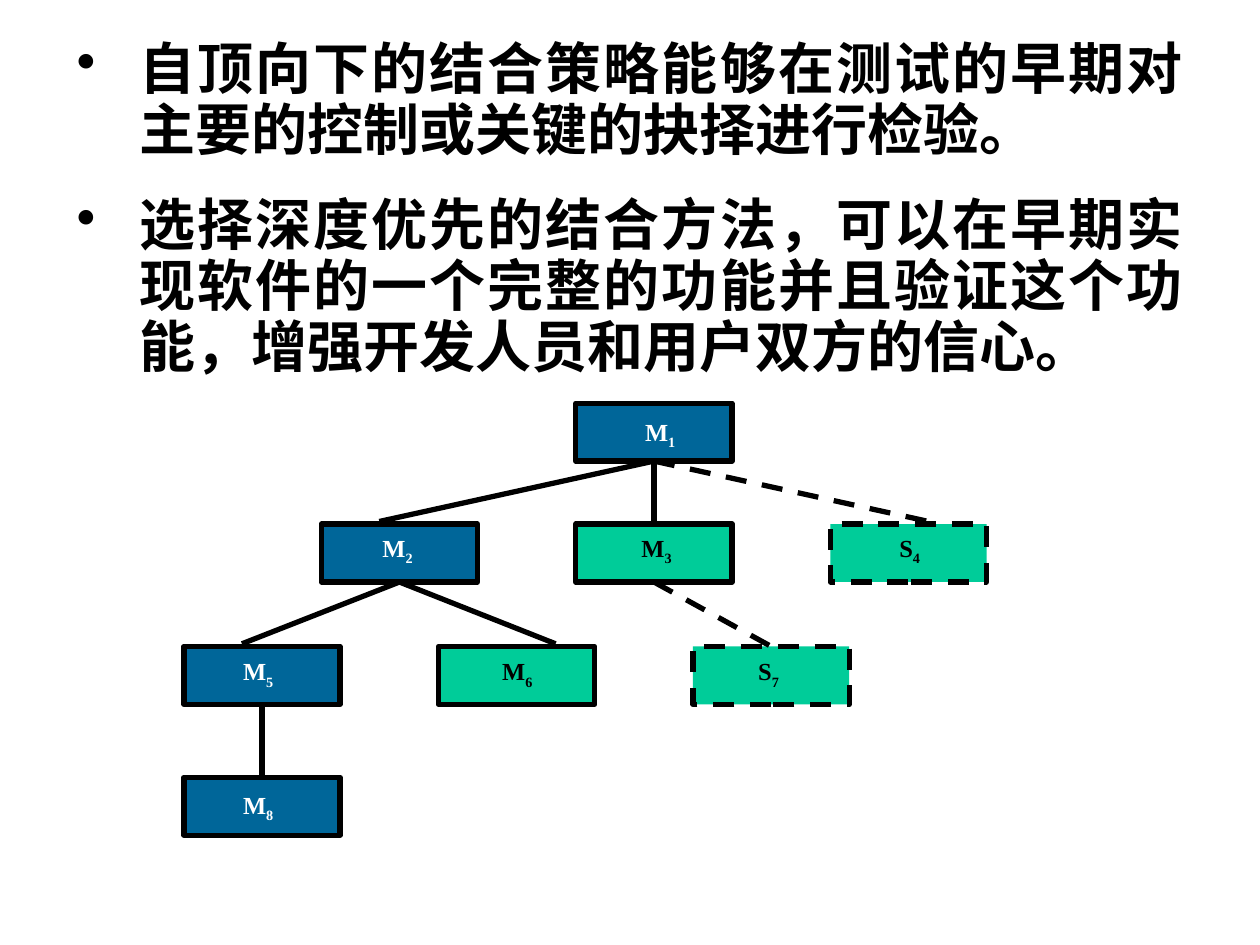
"""Draw a slide on top-down testing with a tree of modules and stubs."""
from dataclasses import dataclass

from lxml import etree
from pptx import Presentation
from pptx import util as u
from pptx.dml.color import RGBColor
from pptx.enum import dml, shapes, text
from pptx.oxml.ns import qn

BLACK = RGBColor(0, 0, 0)
WHITE = RGBColor(255, 255, 255)
BLUE = RGBColor(0, 0x66, 0x99)
GREEN = RGBColor(0, 0xCC, 0x99)
HAN = "Noto Sans CJK SC"
ROMAN = "Times New Roman"

LEFT, STEP, SHIFT = 105.1, 145.45, 78.5
ROWS = (230.4, 299.5, 369.4, 444.2)
WIDE, HIGH, EDGE = 89.3, 33.1, 3
TAG_HIGH = 26.6
BOTTOM, TOP = 2, 0

POINTS = (
    "自顶向下的结合策略能够在测试的早期对主要的控制或关键的抉择进行检验。",
    "选择深度优先的结合方法，可以在早期实现软件的一个完整的功能并且验证这个功能，增强开发人员和用户双方的信心。",
)


@dataclass(frozen=True)
class Node:
    """A box of the tree: its place, and its label's offset and width."""
    name: str
    row: int
    col: int
    fill: RGBColor
    dx: float
    dy: float
    span: float

    @property
    def x(self) -> float:
        return LEFT + self.col * STEP + (SHIFT if self.row < 2 else 0)

    @property
    def y(self) -> float:
        return ROWS[self.row]

    @property
    def stub(self) -> bool:
        return self.name.startswith("S")


@dataclass(frozen=True)
class Link:
    """A line between two boxes, ending dx beside the middle of the lower."""
    start: str
    end: str
    dx: float = 0


NODES = (
    Node("M1", 0, 1, BLUE, 11.5, 4.3, 73.4),
    Node("M2", 1, 0, BLUE, 4.3, 1.4, 78.5),
    Node("M3", 1, 1, GREEN, 5.8, 1.4, 80.6),
    Node("S4", 1, 2, GREEN, 7.2, 1.4, 76.3),
    Node("M5", 2, 0, BLUE, 4.3, 2.2, 76.3),
    Node("M6", 2, 1, GREEN, 5.8, 2.2, 78.5),
    Node("S7", 2, 2, GREEN, 2.9, 2.2, 80.6),
    Node("M8", 3, 0, BLUE, 4.3, 3.6, 76.3),
)

LINKS = (
    Link("M1", "M3"),
    Link("M1", "M2", -11.5),
    Link("M1", "S4", 11.5),
    Link("M3", "S7"),
    Link("M2", "M5", -11.5),
    Link("M2", "M6", 22.3),
    Link("M5", "M8"),
)


def set_font(para, name: str, size: float, color: RGBColor) -> None:
    """Give a paragraph one bold font for Latin and Han text."""
    font = para.font
    font.size, font.bold, font.name = u.Pt(size), True, name
    font.color.rgb = color
    east = etree.SubElement(para._p.pPr.find(qn("a:defRPr")), qn("a:ea"))
    east.set("typeface", name)


def set_line(line, stub: bool) -> None:
    """Style a black line, dashed for a stub."""
    line.color.rgb = BLACK
    line.width = u.Pt(EDGE)
    if stub:
        line.dash_style = dml.MSO_LINE.DASH


def add_text(parent, x: float, y: float, wide: float, high: float):
    """Add a wrapping text box and return its frame."""
    box = parent.add_textbox(u.Pt(x), u.Pt(y), u.Pt(wide), u.Pt(high))
    frame = box.text_frame
    frame.word_wrap = True
    frame.auto_size = text.MSO_AUTO_SIZE.SHAPE_TO_FIT_TEXT
    return frame


def add_points(parent) -> None:
    """Add the bulleted statements."""
    frame = add_text(parent, 36.7, 20.2, 646.6, 254.9)
    for i, words in enumerate(POINTS):
        para = frame.add_paragraph() if i else frame.paragraphs[0]
        para.text = words
        para.alignment = text.PP_ALIGN.JUSTIFY
        para.line_spacing = 0.9
        para.space_before = u.Pt(20 if i else 0)
        props = para._p.get_or_add_pPr()
        props.set("marL", str(u.Pt(36)))
        props.set("indent", str(u.Pt(-36)))
        tint = etree.SubElement(props, qn("a:buClr"))
        etree.SubElement(tint, qn("a:srgbClr")).set("val", str(BLACK))
        etree.SubElement(props, qn("a:buChar")).set("char", "•")
        set_font(para, HAN, 32, BLACK)


def add_node(parent, node: Node):
    """Add a box with its label and return the box."""
    box = parent.add_shape(shapes.MSO_SHAPE.RECTANGLE, u.Pt(node.x),
                           u.Pt(node.y), u.Pt(WIDE), u.Pt(HIGH))
    box.shadow.inherit = False
    box.fill.solid()
    box.fill.fore_color.rgb = node.fill
    set_line(box.line, node.stub)
    frame = add_text(parent, node.x + node.dx, node.y + node.dy,
                     node.span, TAG_HIGH)
    para = frame.paragraphs[0]
    para.alignment = text.PP_ALIGN.CENTER
    set_font(para, ROMAN, 14, WHITE if node.fill == BLUE else BLACK)
    para.add_run().text = node.name[0]
    sub = para.add_run()
    sub.text = node.name[1:]
    sub._r.get_or_add_rPr().set("baseline", "-25000")
    return box


def add_link(parent, link: Link, nodes: dict, boxes: dict) -> None:
    """Add a line from one box down to another."""
    start, end = nodes[link.start], nodes[link.end]
    line = parent.add_connector(
        shapes.MSO_CONNECTOR.STRAIGHT,
        u.Pt(start.x + WIDE / 2), u.Pt(start.y + HIGH),
        u.Pt(end.x + WIDE / 2 + link.dx), u.Pt(end.y - EDGE / 2))
    line.begin_connect(boxes[link.start], BOTTOM)
    if not link.dx:
        line.end_connect(boxes[link.end], TOP)
    set_line(line.line, end.stub)
    etree.SubElement(line._element.spPr, qn("a:effectLst"))


def main() -> None:
    """Build and save the slide."""
    deck = Presentation()
    deck.slide_width, deck.slide_height = u.Pt(720), u.Pt(540)
    slide = deck.slides.add_slide(deck.slide_layouts[6])
    add_points(slide.shapes)
    tree = slide.shapes.add_group_shape().shapes
    nodes = {node.name: node for node in NODES}
    boxes = {node.name: add_node(tree, node) for node in NODES}
    for link in LINKS:
        add_link(tree, link, nodes, boxes)
    deck.save("out.pptx")


if __name__ == "__main__":
    main()
